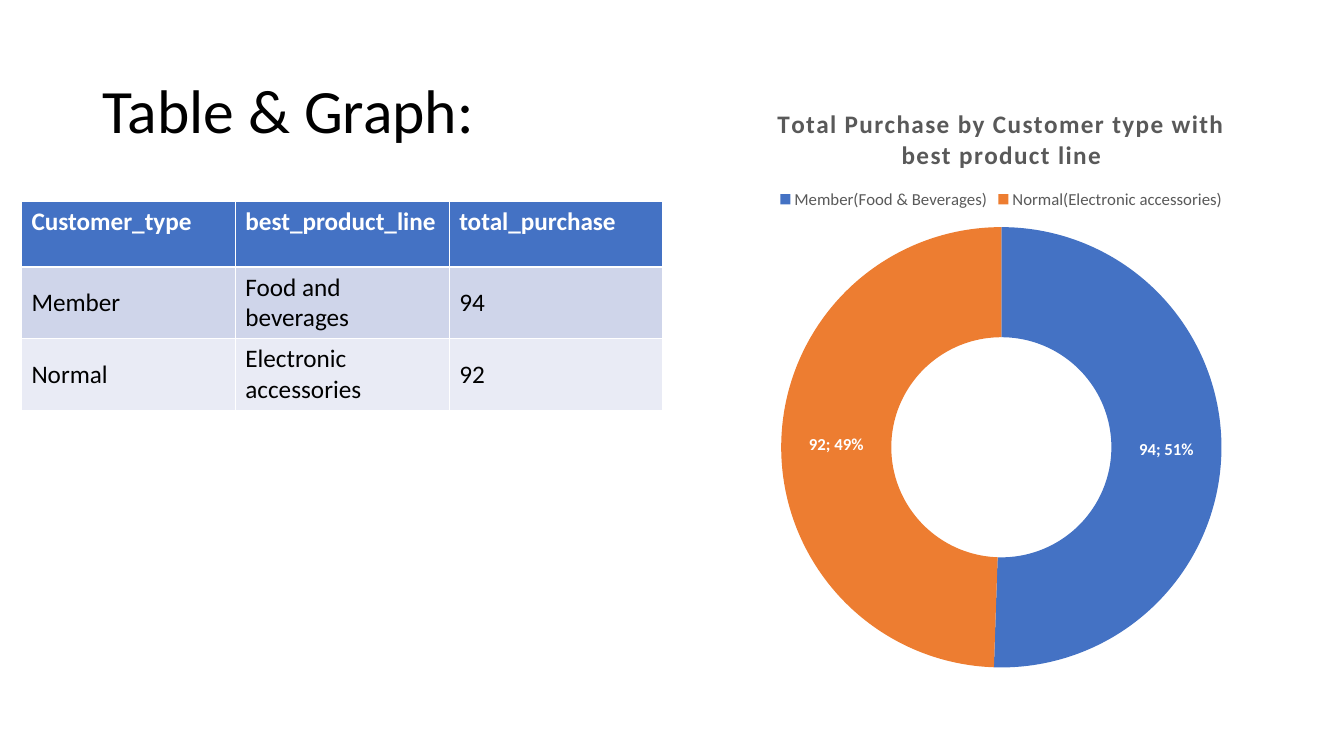
from lxml import etree
from pptx import Presentation
from pptx.chart.data import CategoryChartData
from pptx.dml.color import RGBColor
from pptx.enum.chart import XL_CHART_TYPE, XL_LEGEND_POSITION
from pptx.enum.text import MSO_ANCHOR, PP_ALIGN
from pptx.oxml.ns import qn
from pptx.util import Cm, Pt

BLACK = RGBColor(0x00, 0x00, 0x00)
WHITE = RGBColor(0xFF, 0xFF, 0xFF)
GRAY = RGBColor(0x59, 0x59, 0x59)
BLUE = RGBColor(0x44, 0x72, 0xC4)
ORANGE = RGBColor(0xED, 0x7D, 0x31)
ROW_FILLS = [BLUE, RGBColor(0xCF, 0xD5, 0xEA), RGBColor(0xE9, 0xEB, 0xF5)]
FONT = "Calibri"


def set_font(font, size, color, bold=False):
    font.name = FONT
    font.size = Pt(size)
    font.bold = bold
    font.color.rgb = color


presentation = Presentation()
presentation.slide_width = Cm(33.87)
presentation.slide_height = Cm(19.05)
slide = presentation.slides.add_slide(presentation.slide_layouts[5])

# Title
title = slide.shapes.title
title.left, title.top, title.width, title.height = Cm(2.33), Cm(1.01), Cm(29.21), Cm(3.68)
title.text_frame.text = "Table & Graph:"
title.text_frame.vertical_anchor = MSO_ANCHOR.MIDDLE
paragraph = title.text_frame.paragraphs[0]
paragraph.alignment = PP_ALIGN.LEFT
paragraph.line_spacing = 0.9
set_font(paragraph.font, 44, BLACK)

# Table
rows = [
    ["Customer_type", "best_product_line", "total_purchase"],
    ["Member", "Food and beverages", "94"],
    ["Normal", "Electronic accessories", "92"],
]
table = slide.shapes.add_table(3, 3, Cm(0.54), Cm(5.08), Cm(16.17), Cm(4.95)).table
for row_index, texts in enumerate(rows):
    header = row_index == 0
    for column_index, text in enumerate(texts):
        cell = table.cell(row_index, column_index)
        cell.text = text
        cell.fill.solid()
        cell.fill.fore_color.rgb = ROW_FILLS[row_index]
        cell.vertical_anchor = MSO_ANCHOR.TOP if header else MSO_ANCHOR.MIDDLE
        set_font(cell.text_frame.paragraphs[0].font, 18, WHITE if header else BLACK, header)

# Doughnut chart
chart_data = CategoryChartData()
chart_data.categories = ["Member(Food & Beverages)", "Normal(Electronic accessories)"]
chart_data.add_series("Series 1", [94, 92])
chart = slide.shapes.add_chart(
    XL_CHART_TYPE.DOUGHNUT, Cm(17.15), Cm(2.13), Cm(16.17), Cm(15.04), chart_data
).chart
set_font(chart.font, 10, BLACK)

chart.has_title = True
chart.chart_title.include_in_layout = False
chart_title = chart.chart_title.text_frame
chart_title.text = "Total Purchase by Customer type with best product line"
title_run = chart_title.paragraphs[0].runs[0]
set_font(title_run.font, 18, GRAY, True)
title_run.font._element.set("spc", "100")

chart.has_legend = True
chart.legend.position = XL_LEGEND_POSITION.TOP
chart.legend.include_in_layout = False
set_font(chart.legend.font, 12, GRAY)

plot = chart.plots[0]
plot.vary_by_categories = True
for point_index, color in enumerate([BLUE, ORANGE]):
    fill = plot.series[0].points[point_index].format.fill
    fill.solid()
    fill.fore_color.rgb = color

labels = plot.series[0].data_labels
labels.show_value = True
labels.show_percentage = True
set_font(labels.font, 12, WHITE, True)
separator = etree.Element(qn("c:separator"))
separator.text = "; "
labels._element.find(qn("c:showBubbleSize")).addnext(separator)

presentation.save("out.pptx")
